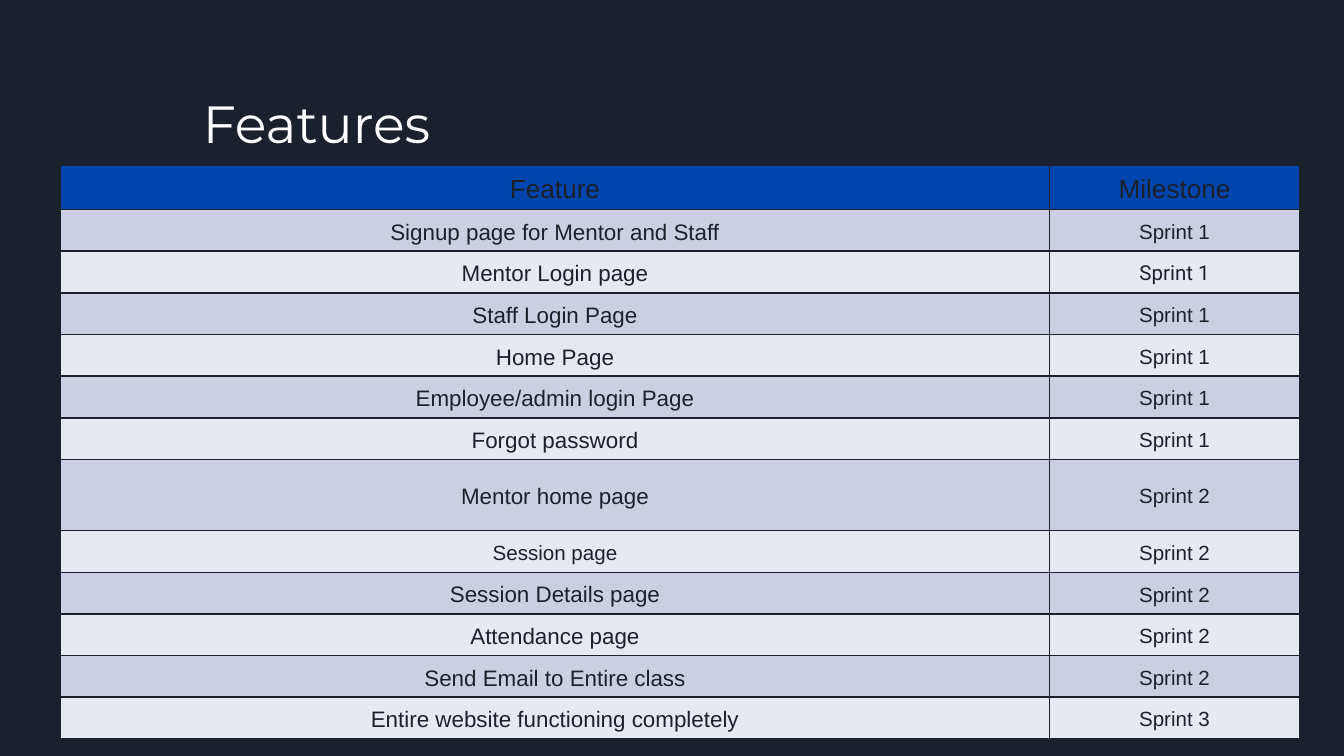
from dataclasses import dataclass

from lxml import etree
from pptx import Presentation
from pptx.dml.color import RGBColor
from pptx.enum.text import MSO_ANCHOR, MSO_AUTO_SIZE, PP_ALIGN
from pptx.oxml.ns import qn
from pptx.util import Inches, Pt

LEFT, CENTER = PP_ALIGN.LEFT, PP_ALIGN.CENTER
TOP, MIDDLE = MSO_ANCHOR.TOP, MSO_ANCHOR.MIDDLE
NO_FIT = MSO_AUTO_SIZE.NONE

# Widescreen page, 16 to 9
WIDE = 10
HIGH = WIDE * 9 / 16


@dataclass(frozen=True)
class Theme:
    ink: str = "1B212C"
    white: str = "FFFFFF"
    blue: str = "0145AC"
    bands: tuple = ("CCCFE3", "E7E9F1")
    title: int = 28
    head: int = 14
    body: int = 12
    small: int = 11
    display: str = "Montserrat"
    sans: str = "Arial"
    alt: str = "Roboto"


THEME = Theme()

HEADS = ("Feature", "Milestone")
ROWS = [
    ("Signup page for Mentor and Staff", "Sprint 1"),
    ("Mentor Login page", "Sprint 1"),
    ("Staff Login Page", "Sprint 1"),
    ("Home Page", "Sprint 1"),
    ("Employee/admin login Page", "Sprint 1"),
    ("Forgot password", "Sprint 1"),
    ("Mentor home page", "Sprint 2"),
    ("Session page", "Sprint 2"),
    ("Session Details page", "Sprint 2"),
    ("Attendance page", "Sprint 2"),
    ("Send Email to Entire class", "Sprint 2"),
    ("Entire website functioning completely", "Sprint 3"),
]
WIDTHS = (7.36, 1.86)
HEAD_H, ROW_H = 0.33, 0.31
TALL = {"Mentor home page": 0.53}

# Cells whose type differs from the rest of their column, by (row, column)
SIZES = {(8, 0): THEME.small}
FONTS = {(2, 1): THEME.alt}


def style(para, size, name, color, align):
    para.alignment = align
    font = para.font
    font.size, font.name = Pt(size), name
    font.color.rgb = RGBColor.from_string(color)


def border(cell, color, width):
    props = cell._tc.get_or_add_tcPr()
    for side in ("a:lnL", "a:lnR", "a:lnT", "a:lnB"):
        line = etree.SubElement(props, qn(side), w=str(Pt(width)))
        fill = etree.SubElement(line, qn("a:solidFill"))
        etree.SubElement(fill, qn("a:srgbClr"), val=color)


def fill_cell(cell, text, size, name, back):
    cell.text = text
    cell.vertical_anchor = MIDDLE
    cell.margin_left = cell.margin_right = 0
    cell.margin_top = cell.margin_bottom = 0
    para = cell.text_frame.paragraphs[0]
    para.line_spacing = 1.15
    style(para, size, name, THEME.ink, CENTER)
    border(cell, THEME.ink, 1)
    cell.fill.solid()
    cell.fill.fore_color.rgb = RGBColor.from_string(back)


def add_title(slide, text):
    shape = slide.shapes.title
    shape.left, shape.top = Inches(1.41), Inches(0.58)
    shape.width, shape.height = Inches(7.05), Inches(0.55)
    frame = shape.text_frame
    frame.text = text
    frame.word_wrap, frame.auto_size = True, NO_FIT
    frame.vertical_anchor = TOP
    frame.margin_left = frame.margin_right = Inches(0.1)
    frame.margin_top = frame.margin_bottom = Inches(0.1)
    style(frame.paragraphs[0], THEME.title, THEME.display, THEME.white, LEFT)


def add_grid(slide):
    highs = [HEAD_H] + [TALL.get(name, ROW_H) for name, _ in ROWS]
    table = slide.shapes.add_table(
        len(highs), len(WIDTHS), Inches(0.45), Inches(1.23),
        Inches(sum(WIDTHS)), Inches(sum(highs))).table
    for col, width in zip(table.columns, WIDTHS):
        col.width = Inches(width)
    for row, high in zip(table.rows, highs):
        row.height = Inches(high)

    # Header row
    for c, text in enumerate(HEADS):
        fill_cell(table.cell(0, c), text, THEME.head, THEME.sans, THEME.blue)

    # Banded rows
    for r, row in enumerate(ROWS, 1):
        back = THEME.bands[(r - 1) % 2]
        for c, text in enumerate(row):
            size = SIZES.get((r, c), (THEME.body, THEME.small)[c])
            name = FONTS.get((r, c), THEME.sans)
            fill_cell(table.cell(r, c), text, size, name, back)


def main():
    deck = Presentation()
    deck.slide_width, deck.slide_height = Inches(WIDE), Inches(HIGH)
    slide = deck.slides.add_slide(deck.slide_layouts.get_by_name("Title Only"))
    back = slide.background.fill
    back.solid()
    back.fore_color.rgb = RGBColor.from_string(THEME.ink)
    add_title(slide, "Features")
    add_grid(slide)
    deck.save("out.pptx")


if __name__ == "__main__":
    main()
